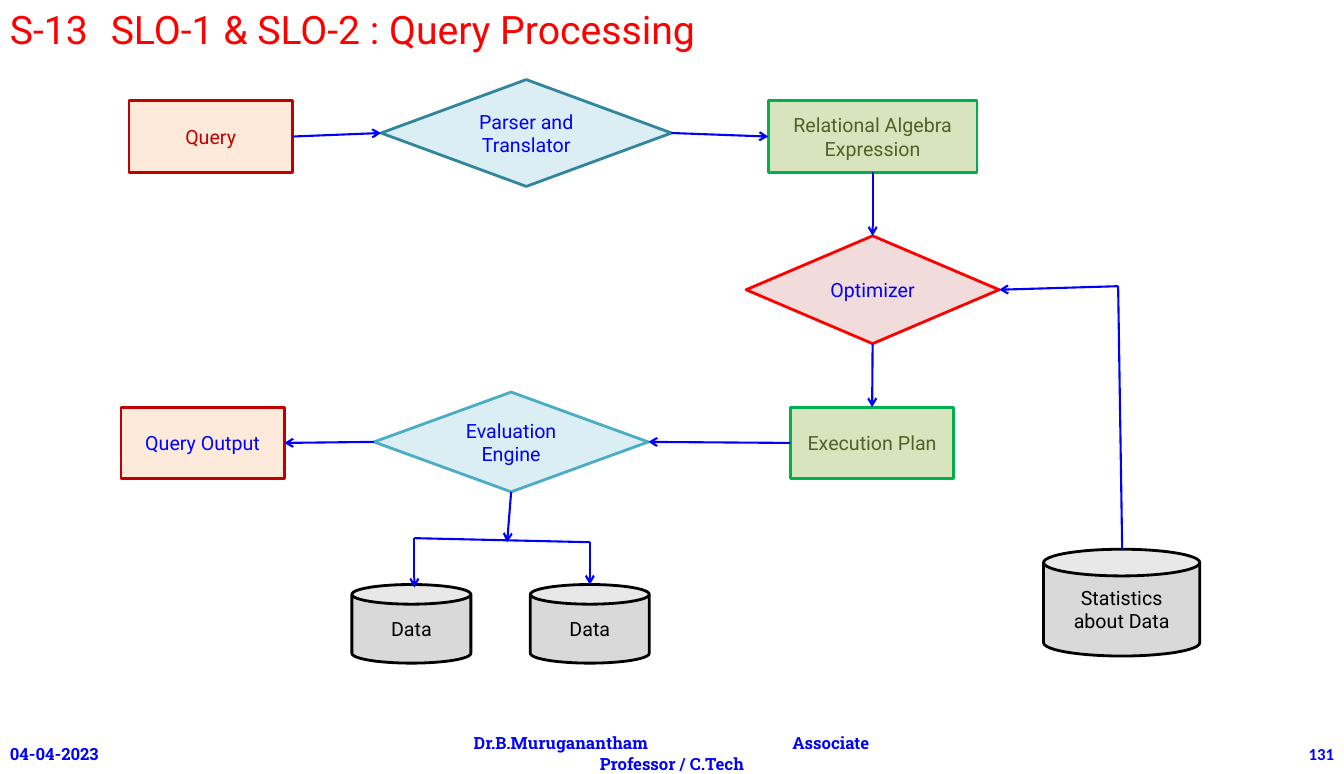
from dataclasses import dataclass

from pptx import Presentation
from pptx.dml.color import RGBColor
from pptx.enum.shapes import MSO_CONNECTOR, MSO_SHAPE
from pptx.enum.text import MSO_ANCHOR, PP_ALIGN
from pptx.oxml.ns import qn
from pptx.util import Inches, Pt
from lxml.etree import SubElement


@dataclass(frozen=True)
class Theme:
    red: str = "FF0000"
    blue: str = "0000FF"
    black: str = "000000"
    crimson: str = "C00000"
    peach: str = "FDEADA"
    green: str = "00B050"
    olive: str = "4F6228"
    light_green: str = "D7E4BD"
    teal: str = "31859C"
    aqua: str = "4BACC6"
    light_blue: str = "DBEEF4"
    pink: str = "F2DCDB"
    grey: str = "D9D9D9"
    body: str = "Roboto"
    slab: str = "Roboto Slab"
    number: str = "Calibri"
    title_size: int = 28
    node_size: int = 14
    footer_size: int = 12
    outline: float = 2
    arrow: float = 1.5


T = Theme()
TOP, LEFT, BOTTOM, RIGHT = range(4)
RECT, DIAMOND, CAN = MSO_SHAPE.RECTANGLE, MSO_SHAPE.DIAMOND, MSO_SHAPE.CAN


def write(p, text, align, color, **font):
    p.alignment = align
    r = p.add_run()
    r.text = text
    for name, value in font.items():
        setattr(r.font, name, value)
    r.font.color.rgb = RGBColor.from_string(color)


def add_box(s, box):
    sp = s.shapes.add_textbox(*map(Inches, box))
    sp.text_frame.word_wrap = True
    return sp.text_frame


def add_tabs(p, stops):
    tabs = SubElement(p._p.get_or_add_pPr(), qn("a:tabLst"))
    for stop in stops:
        SubElement(tabs, qn("a:tab"), pos=str(Inches(stop)), algn="l")


def add_title(s, box):
    tf = add_box(s, box)
    write(tf.paragraphs[0], "S-13\tSLO-1 & SLO-2 : Query Processing", PP_ALIGN.LEFT,
          T.red, name=T.body, size=Pt(T.title_size))


def add_footer(s, box):
    x, y, w, h = box
    side, middle = 4.42, w - 2 * 4.42
    parts = [
        (0, side, T.slab, [("04-04-2023", PP_ALIGN.LEFT, ())]),
        (side, middle, T.slab, [
            ("\tDr.B.Muruganantham\tAssociate", PP_ALIGN.LEFT, (0.18, 3.34)),
            ("Professor / C.Tech", PP_ALIGN.CENTER, ())]),
        (side + middle, side, T.number, [("131", PP_ALIGN.RIGHT, ())]),
    ]
    for dx, width, font, lines in parts:
        tf = add_box(s, (x + dx, y, width, h))
        tf.vertical_anchor = MSO_ANCHOR.MIDDLE
        for i, (text, align, stops) in enumerate(lines):
            p = tf.add_paragraph() if i else tf.paragraphs[0]
            if stops:
                add_tabs(p, stops)
            write(p, text, align, T.blue, name=font, size=Pt(T.footer_size), bold=True)


def add_node(s, kind, box, text, fill, line, color):
    sp = s.shapes.add_shape(kind, *map(Inches, box))
    sp.shadow.inherit = False
    sp.fill.solid()
    sp.fill.fore_color.rgb = RGBColor.from_string(fill)
    sp.line.color.rgb = RGBColor.from_string(line)
    sp.line.width = Pt(T.outline)
    tf = sp.text_frame
    tf.word_wrap = True
    tf.vertical_anchor = MSO_ANCHOR.MIDDLE
    write(tf.paragraphs[0], text, PP_ALIGN.CENTER, color,
          name=T.body, size=Pt(T.node_size))
    return sp


def add_line(s, start=(0, 0), end=(0, 0), head=True):
    """Each end is a point; ends on a node are joined afterwards."""
    c = s.shapes.add_connector(MSO_CONNECTOR.STRAIGHT, *map(Inches, (*start, *end)))
    c.line.color.rgb = RGBColor.from_string(T.blue)
    c.line.width = Pt(T.arrow)
    if head:
        SubElement(c.line._get_or_add_ln(), qn("a:tailEnd"), type="arrow")
    SubElement(c._element.spPr, qn("a:effectLst"))
    return c


def add_flowchart(s, x, y):
    red_box = (T.peach, T.crimson)
    green_box = (T.light_green, T.green, T.olive)
    store = (T.grey, T.black, T.black)
    small, data = (1.62, 0.71), (1.18, 0.78)

    def at(dx, dy):
        return x + dx, y + dy

    # Nodes: kind, position, size, text, fill, line and text colours
    nodes = {
        "query": (RECT, (0.08, 0.21), small, "Query", *red_box, T.crimson),
        "parser": (DIAMOND, (2.58, 0), (2.88, 1.06), "Parser and Translator",
                   T.light_blue, T.teal, T.blue),
        "algebra": (RECT, (6.42, 0.21), (2.07, 0.71),
                    "Relational Algebra Expression", *green_box),
        "optimizer": (DIAMOND, (6.2, 1.55), (2.51, 1.07), "Optimizer",
                      T.pink, T.red, T.blue),
        "plan": (RECT, (6.64, 3.25), small, "Execution Plan", *green_box),
        "engine": (DIAMOND, (2.51, 3.1), (2.72, 0.99), "Evaluation Engine",
                   T.light_blue, T.aqua, T.blue),
        "output": (RECT, (0, 3.25), small, "Query Output", *red_box, T.blue),
        "data 1": (CAN, (2.29, 5.01), data, "Data", *store),
        "data 2": (CAN, (4.06, 5.01), data, "Data", *store),
        "statistics": (CAN, (9.15, 4.66), (1.55, 1.06), "Statistics about Data", *store),
    }
    shapes = {name: add_node(s, kind, (*at(*pos), *size), *style)
              for name, (kind, pos, size, *style) in nodes.items()}

    # Arrows from node to node
    links = [
        ("query", RIGHT, "parser", LEFT),
        ("parser", RIGHT, "algebra", LEFT),
        ("algebra", BOTTOM, "optimizer", TOP),
        ("optimizer", BOTTOM, "plan", TOP),
        ("plan", LEFT, "engine", RIGHT),
        ("engine", LEFT, "output", RIGHT),
    ]
    for source, exit_side, target, entry_side in links:
        c = add_line(s)
        c.begin_connect(shapes[source], exit_side)
        c.end_connect(shapes[target], entry_side)

    # Statistics feed the optimizer
    corner = at(9.89, 2.05)
    add_line(s, at(9.93, 4.66), corner, head=False)
    add_line(s, corner).end_connect(shapes["optimizer"], RIGHT)

    # Engine branches to the two data stores
    left, right = at(2.91, 4.55), at(4.65, 4.59)
    add_line(s, end=at(3.83, 4.59)).begin_connect(shapes["engine"], BOTTOM)
    add_line(s, left, right, head=False)
    add_line(s, left, at(2.91, 5.04))
    add_line(s, right, at(4.65, 5.01))


def main():
    prs = Presentation()
    prs.slide_width, prs.slide_height = Inches(13.33), Inches(7.68)
    s = prs.slides.add_slide(prs.slide_layouts[6])
    add_footer(s, (0, 7.27, 13.33, 0.41))
    add_title(s, (0, 0, 12.45, 0.57))
    add_flowchart(s, 1.2, 0.79)
    prs.save("out.pptx")


if __name__ == "__main__":
    main()
